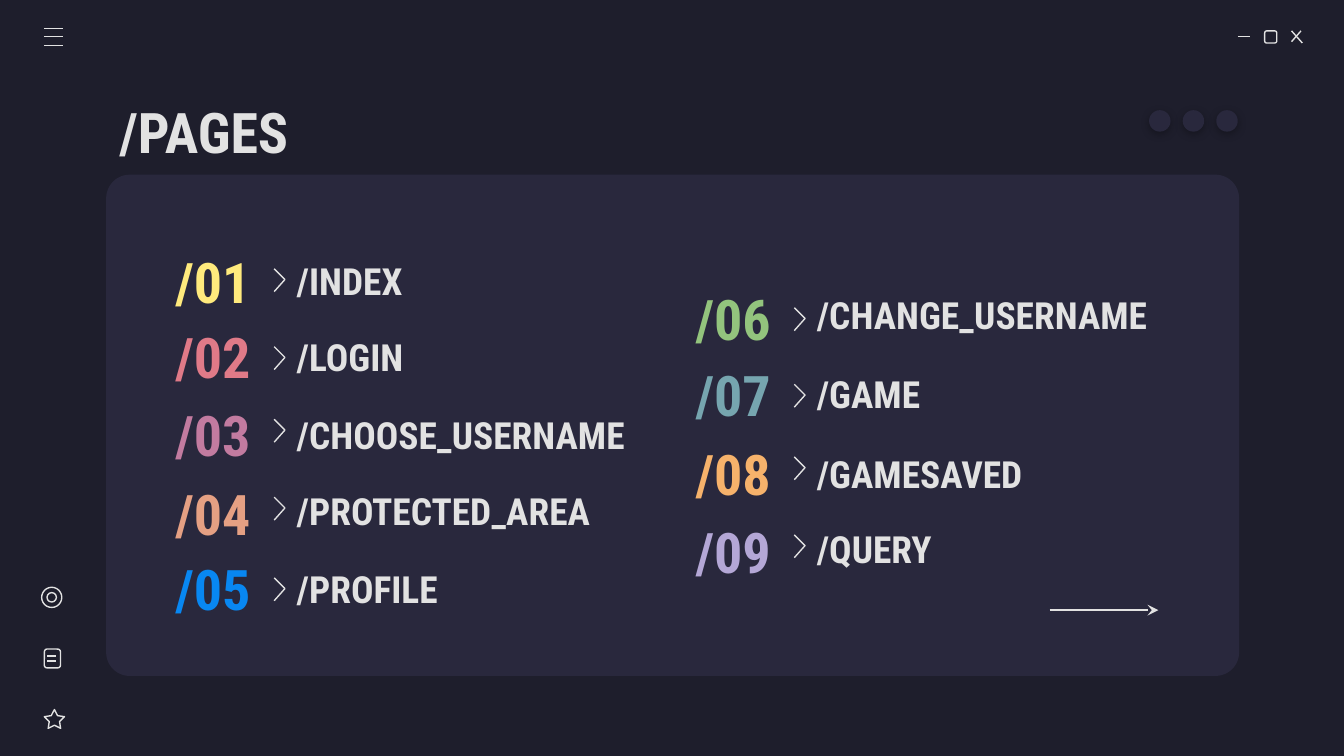
from pptx import Presentation
from pptx.dml.color import RGBColor
from pptx.enum.shapes import MSO_CONNECTOR, MSO_SHAPE as SHAPE
from pptx.enum.text import MSO_ANCHOR, PP_ALIGN
from pptx.oxml import parse_xml
from pptx.oxml.ns import nsdecls
from pptx.util import Inches, Pt

COLORS = {
    "background": "1E1E2C", "panel": "29283D", "light": "E2E2E2",
    "yellow": "FFEA7D", "red": "E07A88", "plum": "C27BA0",
    "peach": "E5A083", "blue": "0887F2", "green": "93C47D",
    "teal": "76A5AF", "orange": "F6B26B", "lilac": "B4A7D6",
}
RGB = {name: RGBColor.from_string(value) for name, value in COLORS.items()}

prs = Presentation()
prs.slide_width = Inches(10)
prs.slide_height = Inches(10 * 9 / 16)
s = prs.slides.add_slide(prs.slide_layouts[6])
s.background.fill.solid()
s.background.fill.fore_color.rgb = RGB["background"]


def add_text(text, x, y, w, h, size, color, align=PP_ALIGN.LEFT):
    tf = s.shapes.add_textbox(Inches(x), Inches(y), Inches(w), Inches(h)).text_frame
    tf.word_wrap = True
    tf.vertical_anchor = MSO_ANCHOR.MIDDLE
    tf.margin_left = tf.margin_right = tf.margin_top = tf.margin_bottom = Inches(0.1)
    p = tf.paragraphs[0]
    p.text = text
    p.alignment = align
    p.font.name = "Roboto Condensed"
    p.font.size = Pt(size)
    p.font.bold = True
    p.font.color.rgb = RGB[color]


def style(sp, fill=None):
    sp.shadow.inherit = False
    if fill:
        sp.fill.solid()
        sp.fill.fore_color.rgb = RGB[fill]
        sp.line.fill.background()
    else:
        sp.fill.background()
        sp.line.color.rgb = RGB["light"]
        sp.line.width = Pt(0.75)


panel = s.shapes.add_shape(SHAPE.ROUNDED_RECTANGLE, Inches(0.79), Inches(1.3), Inches(8.43), Inches(3.73))
panel.adjustments[0] = 0.047
style(panel, "panel")

add_text("/PAGES", 0.79, 0.66, 8.43, 0.63, 30, "light")

icons = [
    (SHAPE.ROUNDED_RECTANGLE, 9.41, 0.23, 0.09, 0.09),
    (SHAPE.OVAL, 0.31, 4.37, 0.15, 0.15),
    (SHAPE.OVAL, 0.35, 4.41, 0.07, 0.07),
    (SHAPE.ROUNDED_RECTANGLE, 0.33, 4.83, 0.12, 0.14),
    (SHAPE.STAR_5_POINT, 0.33, 5.28, 0.15, 0.14),
]
for kind, x, y, w, h in icons:
    sp = s.shapes.add_shape(kind, Inches(x), Inches(y), Inches(w), Inches(h))
    if kind == SHAPE.STAR_5_POINT:
        sp.adjustments[0] = 0.254
    style(sp)

for i in range(3):
    dot = s.shapes.add_shape(SHAPE.OVAL, Inches(8.55 + 0.25 * i), Inches(0.82), Inches(0.16), Inches(0.16))
    style(dot, "panel")
    effects = dot._element.spPr.find("{http://schemas.openxmlformats.org/drawingml/2006/main}effectLst")
    effects.append(parse_xml(
        f'<a:outerShdw {nsdecls("a")} blurRad="{Pt(4.5)}" dist="{Pt(1.5)}" dir="5400000">'
        '<a:srgbClr val="000000"><a:alpha val="30000"/></a:srgbClr></a:outerShdw>'))

lines = [
    (9.21, 0.27, 9.3, 0.27),
    (9.61, 0.23, 9.69, 0.32),
    (9.68, 0.23, 9.61, 0.31),
    (0.35, 4.88, 0.42, 4.88),
    (0.35, 4.92, 0.42, 4.92),
    (7.81, 4.54, 8.62, 4.54),
]
lines = [(0.33, y, 0.47, y) for y in (0.21, 0.27, 0.34)] + lines
for ends in lines:
    line = s.shapes.add_connector(MSO_CONNECTOR.STRAIGHT, *map(Inches, ends))
    line.line.color.rgb = RGB["light"]
    line.line.width = Pt(0.75)
    line._element.spPr.append(parse_xml(f'<a:effectLst {nsdecls("a")}/>'))
next_arrow = line
next_arrow.line._get_or_add_ln().append(parse_xml(f'<a:tailEnd {nsdecls("a")} type="stealth"/>'))

columns = [
    (1.13, 2.04, [
        ("/INDEX", "yellow", 1.81, 1.81, 2.0),
        ("/LOGIN", "red", 2.37, 2.37, 2.58),
        ("/CHOOSE_USERNAME", "plum", 2.95, 2.95, 3.12),
        ("/PROTECTED_AREA", "peach", 3.54, 3.52, 3.7),
        ("/PROFILE", "blue", 4.1, 4.1, 4.3),
    ]),
    (5.0, 5.91, [
        ("/CHANGE_USERNAME", "green", 2.09, 2.06, 2.29),
        ("/GAME", "teal", 2.65, 2.65, 2.86),
        ("/GAMESAVED", "orange", 3.24, 3.24, 3.4),
        ("/QUERY", "lilac", 3.82, 3.8, 3.98),
    ]),
]
number = 0
for number_x, chevron_x, pages in columns:
    for page, color, number_y, page_y, chevron_y in pages:
        number += 1
        add_text(f"/{number:02}", number_x, number_y, 0.91, 0.56, 30, color, PP_ALIGN.CENTER)
        add_text(page, chevron_x + 0.07, page_y, 2.7, 0.56, 20, "light")
        fb = s.shapes.build_freeform(Inches(chevron_x), Inches(chevron_y))
        fb.add_line_segments([
            (Inches(chevron_x + 0.08), Inches(chevron_y + 0.08)),
            (Inches(chevron_x), Inches(chevron_y + 0.17)),
        ], close=False)
        style(fb.convert_to_shape())

prs.save("out.pptx")
